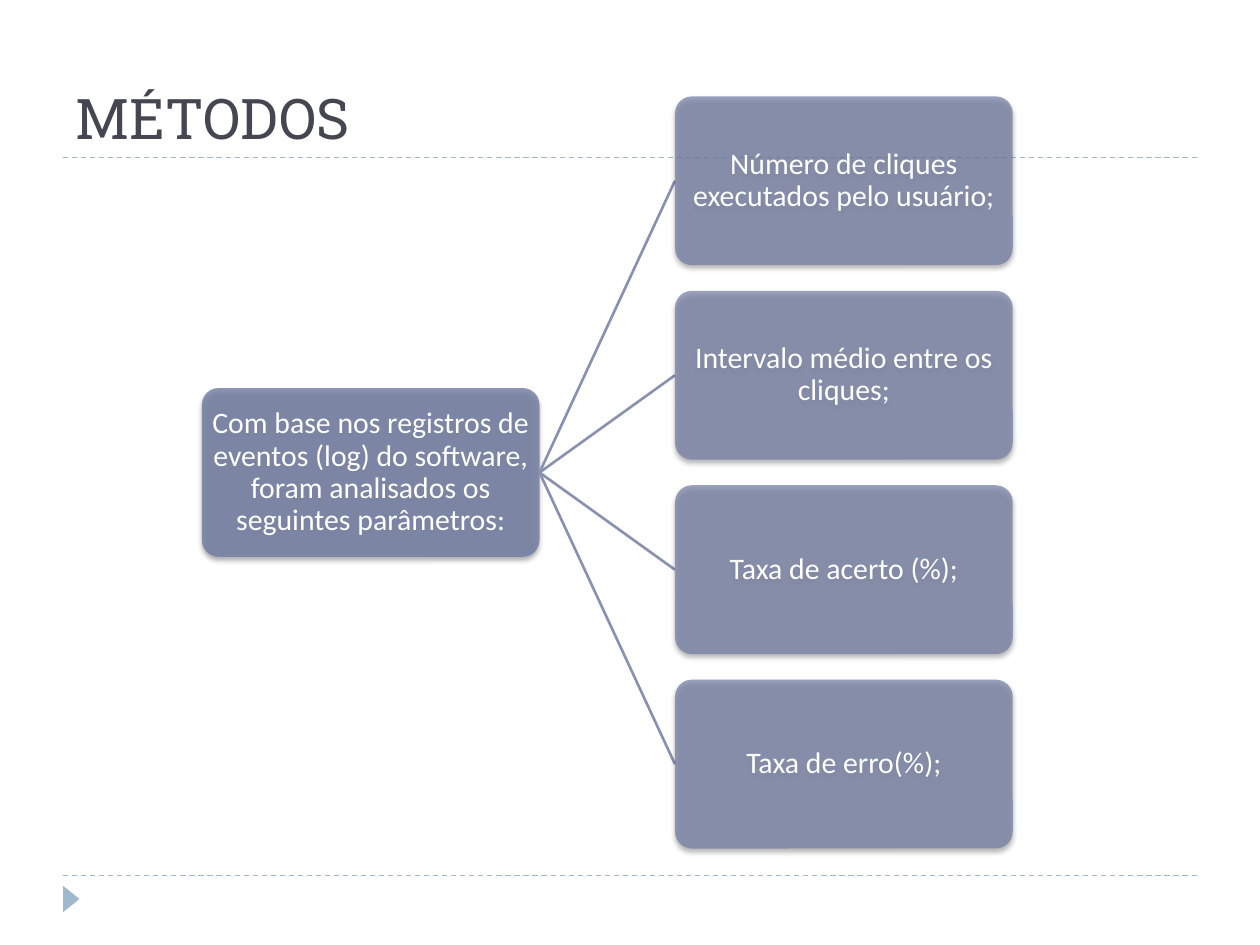
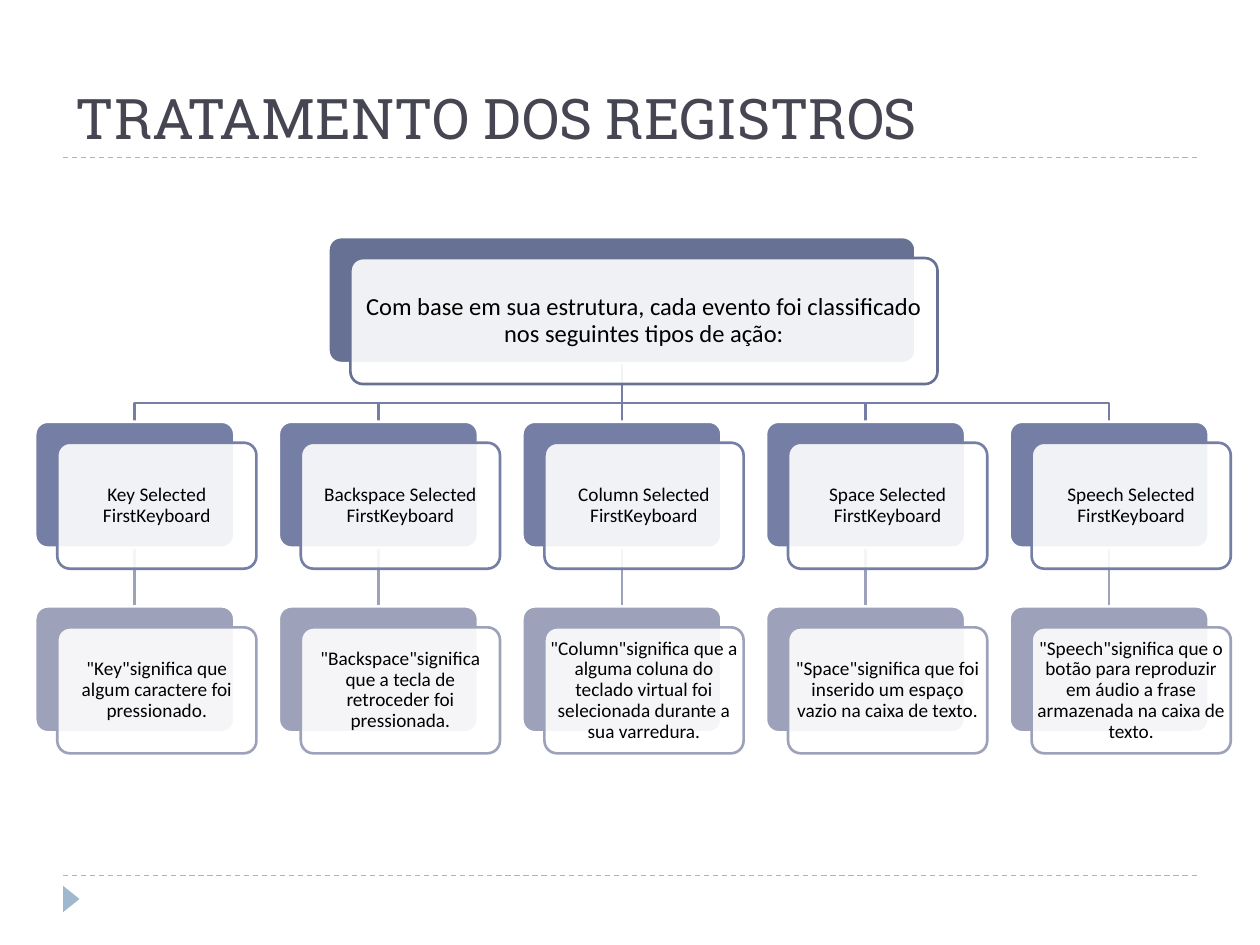
"""Build two slides on methods and log records, each with a tree of boxes."""
from typing import NamedTuple

from lxml.etree import SubElement
from pptx import Presentation
from pptx.dml.color import RGBColor
from pptx.enum.dml import MSO_LINE
from pptx.enum.shapes import MSO_CONNECTOR, MSO_SHAPE
from pptx.enum.text import MSO_ANCHOR, MSO_AUTO_SIZE, PP_ALIGN
from pptx.oxml.ns import qn
from pptx.util import Pt

WHITE, BLACK, INK, SKY = "FFFFFF", "000000", "464653", "9FB8CD"
BLUE, LINK = "727CA3", "8991AF"
TIERS = ("677194", "757EA4", "9DA2BA")
HEAD, BODY = "Roboto Slab", "Calibri"

BASE = "Com base nos registros de eventos (log) do software, foram analisados os seguintes parâmetros:"
RATES = (
    "Número de cliques executados pelo usuário;",
    "Intervalo médio entre os cliques;",
    "Taxa de acerto (%);",
    "Taxa de erro(%);",
)
TYPES = "Com base em sua estrutura, cada evento foi classificado nos seguintes tipos de ação:"
ACTS = {
    "Key": "significa que algum caractere foi pressionado.",
    "Backspace": "significa que a tecla de retroceder foi pressionada.",
    "Column": "significa que a alguma coluna do teclado virtual foi selecionada durante a sua varredura.",
    "Space": "significa que foi inserido um espaço vazio na caixa de texto.",
    "Speech": "significa que o botão para reproduzir em áudio a frase armazenada na caixa de texto.",
}


class Box(NamedTuple):
    """A box given by its centre and size in points."""
    x: float
    y: float
    wide: float
    high: float

    def move(self, right: float, down: float) -> "Box":
        """Return the same box at another place."""
        return self._replace(x=self.x + right, y=self.y + down)

    def edges(self) -> tuple:
        """Return left, top, width and height."""
        return (Pt(self.x - self.wide / 2), Pt(self.y - self.high / 2),
                Pt(self.wide), Pt(self.high))


def tint(code: str) -> RGBColor:
    """Turn a hex string into a colour."""
    return RGBColor.from_string(code)


def fade(node, share: int) -> None:
    """Set the opacity of a colour node in percent."""
    SubElement(node, qn("a:alpha"), val=str(share * 1000))


def write(shape, text: str, *, size: float, font: str = BODY, color: str = WHITE,
          align=PP_ALIGN.CENTER, anchor=MSO_ANCHOR.MIDDLE, inset=None, space: float = 0.9) -> None:
    """Put formatted text into a shape."""
    frame = shape.text_frame
    frame.word_wrap, frame.auto_size = True, MSO_AUTO_SIZE.NONE
    frame.vertical_anchor = anchor
    if inset is not None:
        frame.margin_left = frame.margin_right = Pt(inset)
        frame.margin_top = frame.margin_bottom = Pt(inset)
    para = frame.paragraphs[0]
    para.alignment, para.line_spacing = align, space
    run = para.add_run()
    run.text = text
    run.font.size, run.font.name = Pt(size), font
    run.font.color.rgb = tint(color)


def draw(slide, box: Box, fill: str, *, line: str = "", clear: int = 100,
         kind=MSO_SHAPE.ROUNDED_RECTANGLE):
    """Draw a filled shape, with a line if one is named."""
    shape = slide.shapes.add_shape(kind, *box.edges())
    shape.shadow.inherit = False
    shape.fill.solid()
    shape.fill.fore_color.rgb = tint(fill)
    if kind == MSO_SHAPE.ROUNDED_RECTANGLE:
        shape.adjustments[0] = 0.1
    if clear < 100:
        fade(shape._element.spPr.find(qn("a:solidFill"))[0], clear)
    if line:
        shape.line.color.rgb, shape.line.width = tint(line), Pt(1.5)
    else:
        shape.line.fill.background()
    return shape


def shade(shape) -> None:
    """Give a shape a soft shadow below it."""
    outer = SubElement(shape._element.spPr.find(qn("a:effectLst")), qn("a:outerShdw"),
                       blurRad=str(Pt(3)), dist=str(Pt(2)), dir="5400000", rotWithShape="0")
    fade(SubElement(outer, qn("a:srgbClr"), val=BLACK), 40)


def join(slide, start: tuple, end: tuple, color: str, width: float = 1.5):
    """Draw a straight line between two points."""
    line = slide.shapes.add_connector(MSO_CONNECTOR.STRAIGHT, *map(Pt, start + end))
    SubElement(line._element.spPr, qn("a:effectLst"))
    line.line.color.rgb, line.line.width = tint(color), Pt(width)
    return line


def bend(slide, start: tuple, end: tuple, level: float, color: str) -> None:
    """Draw a line that runs level at one height between two points."""
    pen = slide.shapes.build_freeform(*map(Pt, start))
    turns = ((start[0], level), (end[0], level), end)
    pen.add_line_segments([tuple(map(Pt, turn)) for turn in turns], close=False)
    shape = pen.convert_to_shape()
    shape.shadow.inherit = False
    shape.fill.background()
    shape.line.color.rgb, shape.line.width = tint(color), Pt(1.5)


def start_slide(deck, title: str):
    """Add a slide with its title, dashed rules and corner mark."""
    slide = deck.slides.add_slide(deck.slide_layouts[5])
    for y in (500.4, 90):
        join(slide, (36, y), (684, y), SKY, 0.75).line.dash_style = MSO_LINE.DASH
    mark = draw(slide, Box(40.7, 513.7, 15.1, 9.4), SKY, kind=MSO_SHAPE.ISOSCELES_TRIANGLE)
    mark.rotation = 90
    head = slide.shapes.title
    head.left, head.top, head.width, head.height = Box(360, 51, 648, 78).edges()
    write(head, title, size=32, font=HEAD, color=INK, align=PP_ALIGN.LEFT,
          anchor=MSO_ANCHOR.BOTTOM, space=1)
    return slide


def block(slide, box: Box, text: str, clear: int) -> None:
    """Draw a shaded block with white text."""
    shape = draw(slide, box, BLUE, clear=clear)
    shade(shape)
    write(shape, text, size=17, inset=0)


def card(slide, box: Box, text: str, color: str, size: float, inset: float) -> None:
    """Draw a text card set off from the coloured plate behind it."""
    draw(slide, box, color, line=WHITE)
    front = draw(slide, box.move(12.6, 12), WHITE, line=color, clear=90)
    write(front, text, size=size, color=BLACK, inset=inset)


def methods(deck) -> None:
    """Build the slide of measured values."""
    slide = start_slide(deck, "MÉTODOS")
    root = Box(211.8, 270, 193, 96.5)
    block(slide, root, BASE, 80)
    for i, text in enumerate(RATES):
        leaf = root.move(270.4, (i - 1.5) * 111.1)
        join(slide, (root.x + root.wide / 2, root.y), (leaf.x - leaf.wide / 2, leaf.y), LINK)
        block(slide, leaf, text, 70)


def records(deck) -> None:
    """Build the slide of event types."""
    slide = start_slide(deck, "TRATAMENTO DOS REGISTROS")
    mid, high, gap = 355.4, 72, 105.5
    root = Box(mid, 171.5, 335.5, high)
    tops = [Box(mid + (i - 2) * 139.2, root.y + gap, 113.8, high) for i in range(len(ACTS))]
    foot = (mid, root.y + high / 2)
    for top in tops:
        low = top.y + high / 2
        join(slide, (top.x, low), (top.x, low + gap - high), TIERS[2])
        end = (top.x, top.y - high / 2)
        if top.x == mid:
            join(slide, foot, end, TIERS[1])
        else:
            bend(slide, foot, end, 230.3, TIERS[1])
    card(slide, root, TYPES, TIERS[0], 14, 2.1)
    for top, (name, sense) in zip(tops, ACTS.items()):
        card(slide, top, f"{name} Selected FirstKeyboard", TIERS[1], 11, 1.1)
        card(slide, top.move(0, gap), f'"{name}"{sense}', TIERS[2], 11, 1.1)


def main() -> None:
    """Build and save the deck."""
    deck = Presentation()
    deck.slide_width, deck.slide_height = Pt(720), Pt(540)
    methods(deck)
    records(deck)
    deck.save("out.pptx")


if __name__ == "__main__":
    main()
